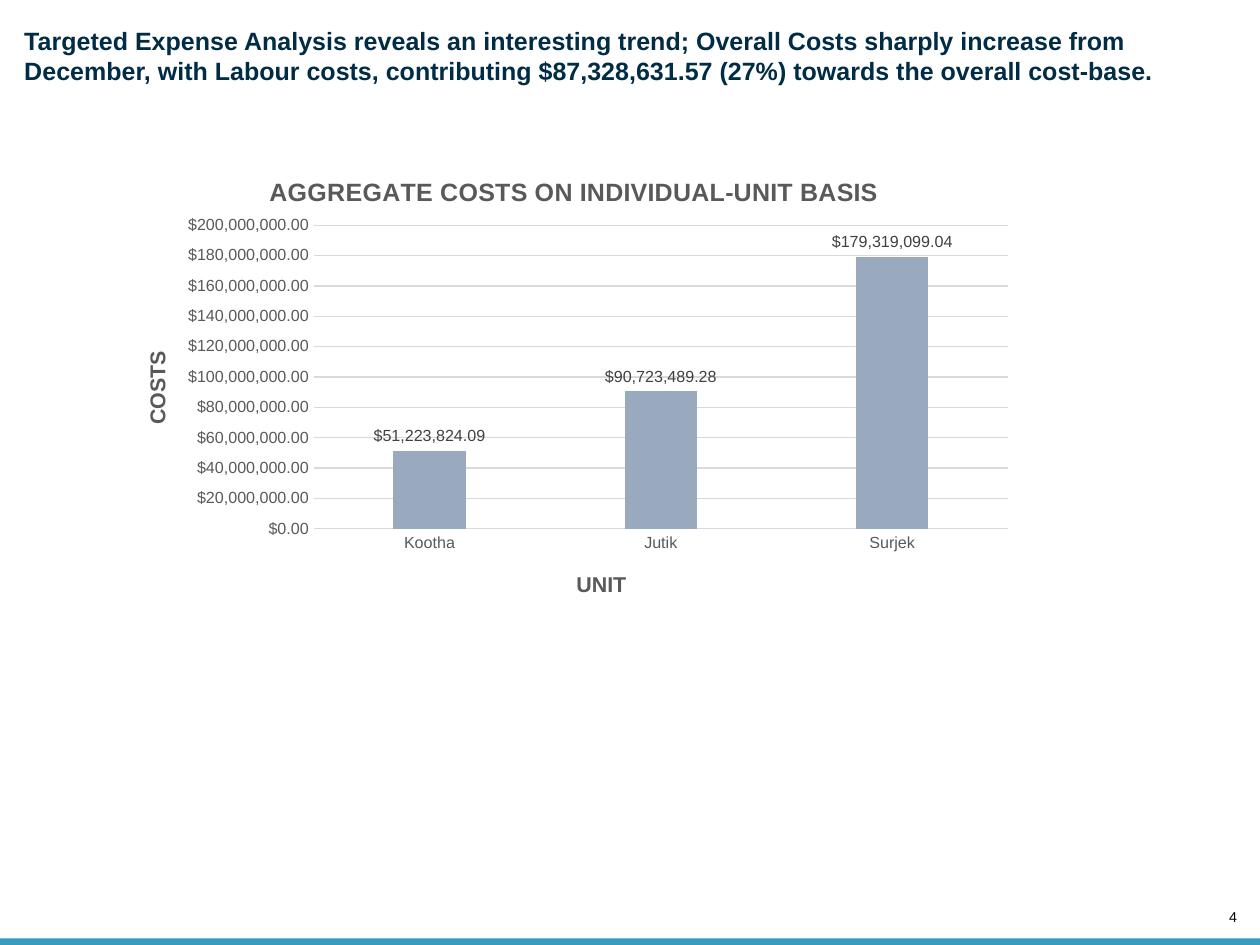
from lxml import etree
from pptx import Presentation
from pptx.chart.data import CategoryChartData
from pptx.dml.color import RGBColor
from pptx.enum import chart as charts, shapes, text
from pptx.oxml import ns
from pptx.util import Cm, Pt

HEADLINE = (
    "Targeted Expense Analysis reveals an interesting trend; Overall Costs sharply "
    "increase from December, with Labour costs, contributing $87,328,631.57 (27%) "
    "towards the overall cost-base."
)
PAGE_NUMBER = "4"
COSTS = {"Kootha": 51223824.09, "Jutik": 90723489.28, "Surjek": 179319099.04}
CURRENCY = '"$"#,##0.00'
FONT = "Arial"
NAVY, TEAL, BAR, GREY, DARK_GREY, LINE, BLACK = (
    "002C46", "379BBD", "99AABE", "595959", "404040", "D9D9D9", "000000")

SLIDE_WIDTH, SLIDE_HEIGHT = Cm(24.89), Cm(18.67)
STRIPE_HEIGHT = Cm(0.13)
CHART_WIDTH, CHART_HEIGHT = Cm(18.06), Cm(9.27)


def color(value):
    return RGBColor.from_string(value)


def style(font, size, value, bold=False):
    font.name, font.size, font.bold = FONT, Pt(size), bold
    font.color.rgb = color(value)


def add_text(slide, box, content, size, value, bold=False, wrap=True,
             align=text.PP_ALIGN.LEFT, anchor=text.MSO_ANCHOR.TOP):
    frame = slide.shapes.add_textbox(*box).text_frame
    frame.margin_left = frame.margin_right = frame.margin_top = frame.margin_bottom = 0
    frame.word_wrap, frame.vertical_anchor = wrap, anchor
    paragraph = frame.paragraphs[0]
    paragraph.alignment = align
    run = paragraph.add_run()
    run.text = content
    style(run.font, size, value, bold)


def place(layout, left, top, width=None, height=None):
    """Fix a chart part at lengths measured from the chart's top left corner."""
    for child in list(layout):
        layout.remove(child)
    manual = etree.SubElement(layout, ns.qn("c:manualLayout"))
    settings = [("xMode", "edge"), ("yMode", "edge"),
                ("x", left / CHART_WIDTH), ("y", top / CHART_HEIGHT)]
    if width:
        settings.insert(0, ("layoutTarget", "inner"))
        settings += [("w", width / CHART_WIDTH), ("h", height / CHART_HEIGHT)]
    for name, value in settings:
        etree.SubElement(manual, ns.qn(f"c:{name}")).set("val", str(value))


def add_chart_title(owner, content, size, left, top):
    """Title a chart or an axis."""
    owner.has_title = True
    title = owner.chart_title if hasattr(owner, "chart_title") else owner.axis_title
    run = title.text_frame.paragraphs[0].add_run()
    run.text = content
    style(run.font, size, GREY, bold=True)
    place(title._element.get_or_add_layout() if hasattr(title._element, "get_or_add_layout")
          else title._element.find(ns.qn("c:layout")), left, top)


def add_cost_chart(slide):
    data = CategoryChartData(number_format=CURRENCY)
    data.categories = list(COSTS)
    data.add_series("Series 1", list(COSTS.values()))
    chart = slide.shapes.add_chart(
        charts.XL_CHART_TYPE.COLUMN_CLUSTERED, Cm(2.21), Cm(2.95),
        CHART_WIDTH, CHART_HEIGHT, data).chart
    style(chart.font, 10, BLACK)
    chart.has_legend = False

    unit_axis, cost_axis = chart.category_axis, chart.value_axis
    for axis in (unit_axis, cost_axis):
        axis.major_tick_mark = axis.minor_tick_mark = charts.XL_TICK_MARK.NONE
        style(axis.tick_labels.font, 9, GREY)
    cost_axis.minimum_scale, cost_axis.maximum_scale = 0, 200_000_000
    cost_axis.major_unit = 20_000_000
    cost_axis.tick_labels.number_format = CURRENCY
    cost_axis.tick_labels.number_format_is_linked = False
    cost_axis.format.line.fill.background()
    for line in (unit_axis.format.line, cost_axis.major_gridlines.format.line):
        line.color.rgb, line.width = color(LINE), Pt(0.75)

    plot = chart.plots[0]
    plot.gap_width, plot.overlap, plot.vary_by_categories = 219, -27, False
    bars = plot.series[0]
    bars.format.fill.solid()
    bars.format.fill.fore_color.rgb = color(BAR)
    labels = bars.data_labels
    labels.show_value, labels.position = True, charts.XL_LABEL_POSITION.OUTSIDE_END
    labels.number_format, labels.number_format_is_linked = CURRENCY, False
    style(labels.font, 9, DARK_GREY)

    add_chart_title(chart, "AGGREGATE COSTS ON INDIVIDUAL-UNIT BASIS", 14, Cm(3.02), Cm(0.44))
    add_chart_title(unit_axis, "UNIT", 12, Cm(9.1), Cm(8.26))
    add_chart_title(cost_axis, "COSTS", 12, Cm(0.56), Cm(3.91))
    plot_area = chart._chartSpace.chart.plotArea
    layout = plot_area.find(ns.qn("c:layout"))
    if layout is None:
        layout = etree.Element(ns.qn("c:layout"))
        plot_area.insert(0, layout)
    place(layout, Cm(3.99), Cm(1.5), Cm(13.71), Cm(6))


def main():
    presentation = Presentation()
    presentation.slide_width, presentation.slide_height = SLIDE_WIDTH, SLIDE_HEIGHT
    slide = presentation.slides.add_slide(presentation.slide_layouts[6])

    add_text(slide, (Cm(24.08), Cm(17.96), Cm(0.36), Cm(0.33)), PAGE_NUMBER, 8, BLACK,
             wrap=False, align=text.PP_ALIGN.RIGHT, anchor=text.MSO_ANCHOR.BOTTOM)
    stripe = slide.shapes.add_shape(
        shapes.MSO_SHAPE.RECTANGLE, 0, SLIDE_HEIGHT - STRIPE_HEIGHT, SLIDE_WIDTH, STRIPE_HEIGHT)
    stripe.shadow.inherit = False
    stripe.fill.solid()
    stripe.fill.fore_color.rgb = color(TEAL)
    stripe.line.fill.background()
    add_text(slide, (Cm(0.48), Cm(0.51), Cm(24.28), Cm(1.19)), HEADLINE, 14, NAVY, bold=True)
    add_cost_chart(slide)

    presentation.save("out.pptx")


if __name__ == "__main__":
    main()
